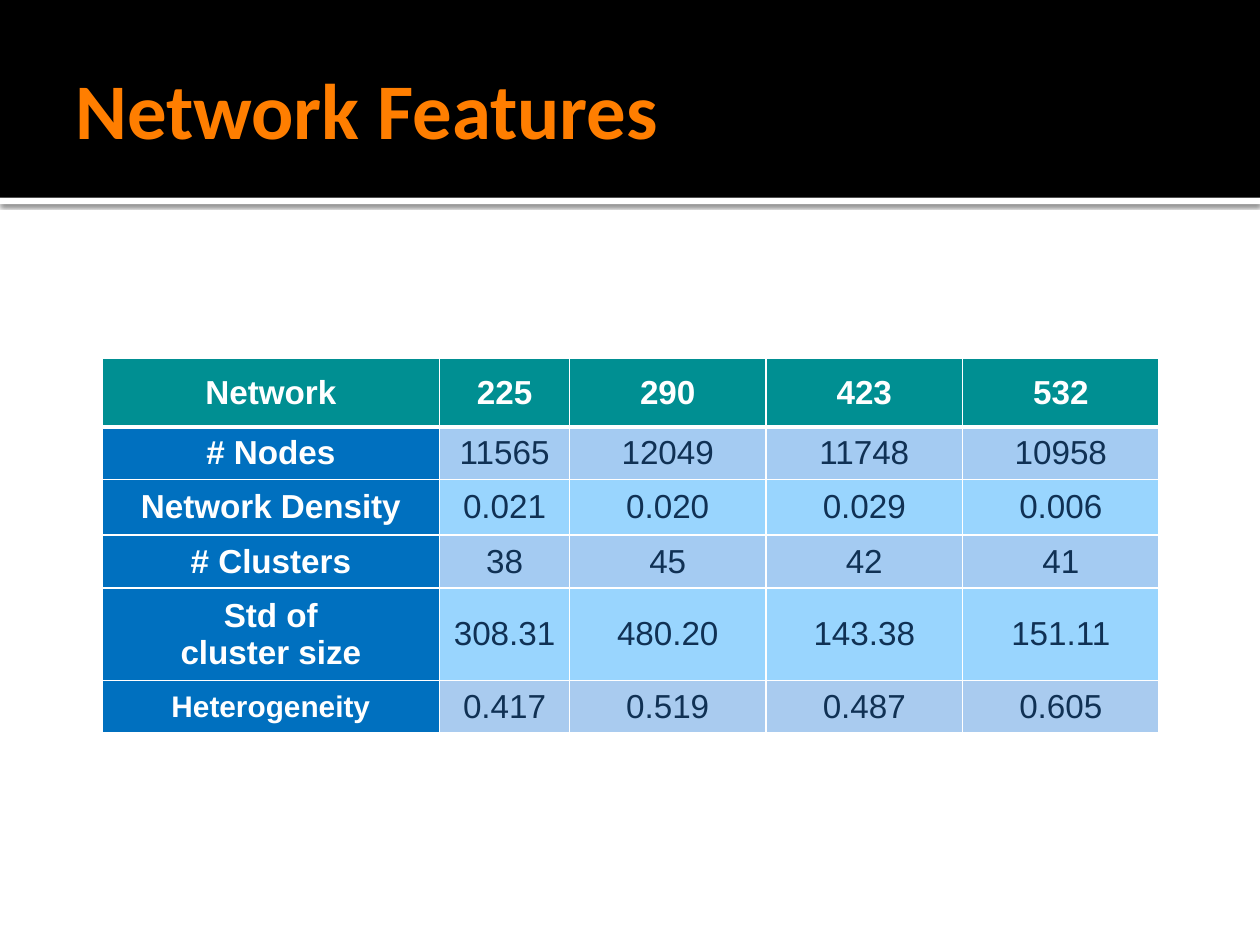
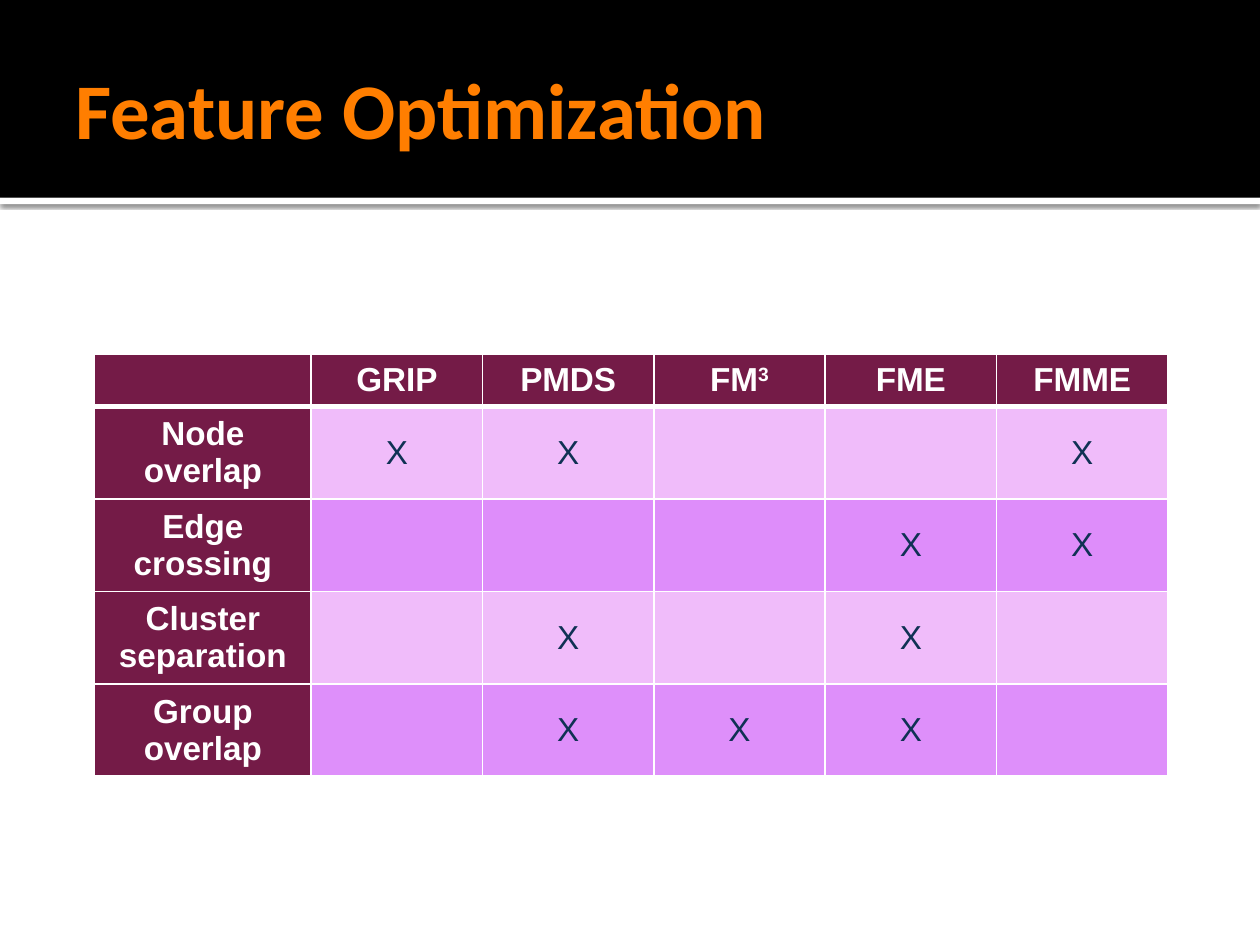
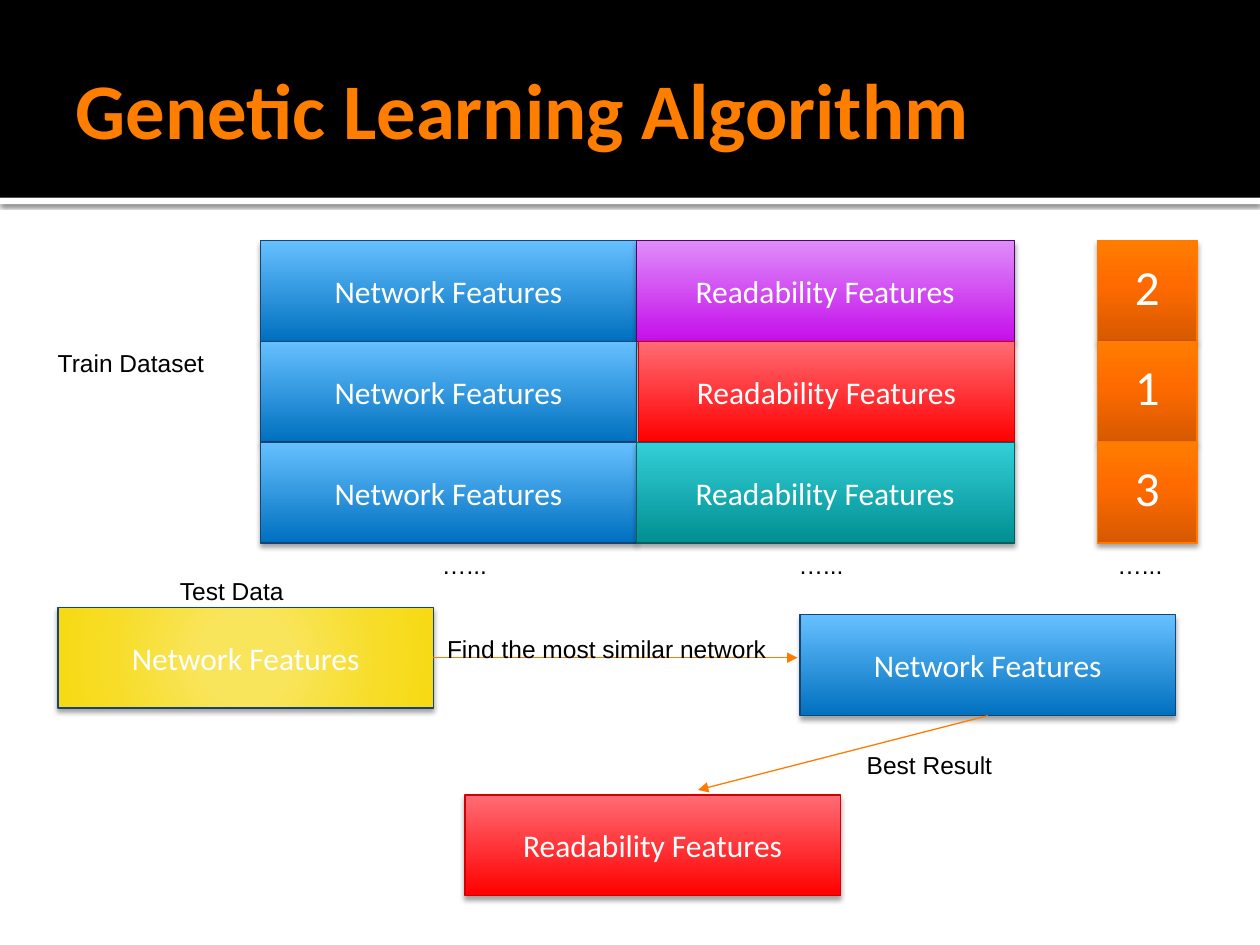
from dataclasses import dataclass, field
from typing import Optional

from lxml import etree
from pptx import Presentation
from pptx.dml.color import RGBColor
from pptx.enum.shapes import MSO_CONNECTOR as Connector, MSO_SHAPE as Preset
from pptx.enum.text import MSO_ANCHOR as Anchor, PP_ALIGN as Align
from pptx.oxml.ns import qn
from pptx.util import Inches, Pt


@dataclass(frozen=True)
class Theme:
    heading_font: str = "Calibri"
    body_font: str = "Arial"
    title_size: float = 45
    score_size: float = 28
    cell_size: float = 19
    box_size: float = 18
    small_cell_size: float = 17
    label_size: float = 14
    white: str = "FFFFFF"
    black: str = "000000"
    title: str = "FF7E00"
    arrow: str = "FF7B00"
    cell_text: str = "103154"
    teal: str = "008F92"
    blue: str = "0070BF"
    maroon: str = "741B47"


@dataclass(frozen=True)
class Shadow:
    opacity: int
    blur: float
    distance: float


@dataclass(frozen=True)
class BoxStyle:
    stops: tuple[tuple[int, str], ...]
    line: str
    radial: bool = False


@dataclass(frozen=True)
class Box:
    text: str
    left: float
    top: float
    width: float
    style: BoxStyle
    size: float = 18
    line_spacing: Optional[float] = None


@dataclass(frozen=True)
class Label:
    text: str
    left: float
    top: float
    width: float


@dataclass(frozen=True)
class TableSpec:
    left: float
    top: float
    columns: list[float]
    heights: list[float]
    rows: list[list[str]]
    header_fill: str
    label_fill: str
    row_fills: list[str]
    sizes: dict[tuple[int, int], float] = field(default_factory=dict)
    superscripts: dict[tuple[int, int], str] = field(default_factory=dict)


THEME = Theme()
BAND_SHADOW = Shadow(60, 2.5, 0.8)
BOX_SHADOW = Shadow(37, 3.1, 2)
BOX_HEIGHT = 0.8

BLUE = BoxStyle(((0, "0070BF"), (100, "66C0FF")), "164575")
PURPLE = BoxStyle(((0, "C50FEA"), (100, "DE8DFA")), "4E0468")
RED = BoxStyle(((0, "FF0000"), (100, "FF6C74")), "D10002")
TEAL = BoxStyle(((0, "008F92"), (100, "33CFD8")), "005F61")
ORANGE = BoxStyle(((0, "D65900"), (55, "FE6A00"), (100, "FF7C00")), "FF7B00")
YELLOW = BoxStyle(((0, "F9E55C"), (23, "F9E55C"), (69, "F7DD28"),
                   (97, "F7DA15"), (100, "F7DA15")), "164575", radial=True)


# Formatting helpers
def color(value: str) -> RGBColor:
    return RGBColor.from_string(value)


def child(parent, tag: str, **attributes):
    element = etree.SubElement(parent, qn(tag))
    for name, value in attributes.items():
        element.set(name, str(value))
    return element


def write(frame, text: str, *, size: float, font: str = THEME.body_font,
          ink: str = THEME.black, bold: bool = False, align=Align.LEFT,
          anchor=Anchor.TOP, line_spacing: Optional[float] = None,
          superscript: str = "") -> None:
    frame.word_wrap = True
    frame.vertical_anchor = anchor
    paragraph = frame.paragraphs[0]
    paragraph.alignment = align
    if line_spacing:
        paragraph.line_spacing = line_spacing
    for index, line in enumerate(text.split("\n")):
        if index:
            paragraph.add_line_break()
        paragraph.add_run().text = line
    if superscript:
        raised = paragraph.add_run()
        raised.text = superscript
        raised._r.get_or_add_rPr().set("baseline", "30000")
    for run in paragraph.runs:
        run.font.size = Pt(size)
        run.font.name = font
        run.font.bold = bold
        run.font.color.rgb = color(ink)


def add_shadow(shape, shadow: Shadow) -> None:
    shape.shadow.inherit = False
    effects = shape._element.spPr.find(qn("a:effectLst"))
    outer = child(effects, "a:outerShdw", blurRad=Pt(shadow.blur),
                  dist=Pt(shadow.distance), dir=90 * 60000, rotWithShape=0)
    shade = child(outer, "a:srgbClr", val=THEME.black)
    child(shade, "a:alpha", val=shadow.opacity * 1000)


def fill_gradient(shape, style: BoxStyle) -> None:
    shape.fill.gradient()
    gradient = shape._element.spPr.find(qn("a:gradFill"))
    for element in list(gradient):
        gradient.remove(element)
    stops = child(gradient, "a:gsLst")
    for position, value in style.stops:
        child(child(stops, "a:gs", pos=position * 1000), "a:srgbClr", val=value)
    if style.radial:
        circle = child(gradient, "a:path", path="circle")
        child(circle, "a:fillToRect", l=50000, t=50000, r=50000, b=50000)
    else:
        child(gradient, "a:lin", ang=270 * 60000, scaled=0)


def set_borders(cell, widths: dict[str, float]) -> None:
    properties = cell._tc.get_or_add_tcPr()
    for index, (side, width) in enumerate(widths.items()):
        line = etree.Element(qn(f"a:ln{side}"), w=str(Pt(width)))
        child(child(line, "a:solidFill"), "a:srgbClr", val=THEME.white)
        properties.insert(index, line)


# Slide parts
def add_rectangle(slide, left: float, top: float, width: float, height: float):
    return slide.shapes.add_shape(Preset.RECTANGLE, Inches(left), Inches(top),
                                  Inches(width), Inches(height))


def add_band(slide, top: float, height: float, fill: str,
             shadow: Optional[Shadow] = None) -> None:
    band = add_rectangle(slide, 0, top, 10, height)
    band.fill.solid()
    band.fill.fore_color.rgb = color(fill)
    band.line.fill.background()
    band.shadow.inherit = False
    if shadow:
        add_shadow(band, shadow)


def add_text_box(slide, left: float, top: float, width: float, height: float,
                 text: str, **text_format) -> None:
    box = slide.shapes.add_textbox(Inches(left), Inches(top),
                                   Inches(width), Inches(height))
    write(box.text_frame, text, **text_format)


def add_titled_slide(presentation, title: str):
    slide = presentation.slides.add_slide(presentation.slide_layouts[6])
    add_band(slide, 1.57, 0.05, THEME.white, BAND_SHADOW)
    add_band(slide, 0, 1.57, THEME.black)
    add_text_box(slide, 0.5, 0.17, 9, 1.37, title, size=THEME.title_size,
                 font=THEME.heading_font, ink=THEME.title, bold=True,
                 anchor=Anchor.MIDDLE)
    return slide


def add_box(slide, box: Box):
    shape = add_rectangle(slide, box.left, box.top, box.width, BOX_HEIGHT)
    fill_gradient(shape, box.style)
    shape.line.color.rgb = color(box.style.line)
    shape.line.width = Pt(0.75)
    add_shadow(shape, BOX_SHADOW)
    write(shape.text_frame, box.text, size=box.size, font=THEME.heading_font,
          ink=THEME.white, align=Align.CENTER, anchor=Anchor.MIDDLE,
          line_spacing=box.line_spacing)
    return shape


def add_label(slide, label: Label) -> None:
    add_text_box(slide, label.left, label.top, label.width, 0.34, label.text,
                 size=THEME.label_size)


def add_arrow(slide, source, side: int, end: tuple[float, float]) -> None:
    end_x, end_y = (Inches(value) for value in end)
    arrow = slide.shapes.add_connector(Connector.STRAIGHT, source.left,
                                       source.top, end_x, end_y)
    arrow.begin_connect(source, side)
    arrow.line.color.rgb = color(THEME.arrow)
    arrow.line.width = Pt(0.75)
    child(arrow.line._get_or_add_ln(), "a:tailEnd", type="triangle")
    child(arrow._element.spPr, "a:effectLst")


def add_feature_table(slide, spec: TableSpec) -> None:
    table = slide.shapes.add_table(
        len(spec.rows), len(spec.columns), Inches(spec.left), Inches(spec.top),
        Inches(sum(spec.columns)), Inches(sum(spec.heights))).table
    for column, width in zip(table.columns, spec.columns):
        column.width = Inches(width)
    for row, height in zip(table.rows, spec.heights):
        row.height = Inches(height)
    for r, values in enumerate(spec.rows):
        for c, value in enumerate(values):
            cell = table.cell(r, c)
            is_heading = r == 0 or c == 0
            if r == 0:
                fill = spec.header_fill
            else:
                fill = spec.label_fill if c == 0 else spec.row_fills[r - 1]
            cell.fill.solid()
            cell.fill.fore_color.rgb = color(fill)
            cell.vertical_anchor = Anchor.MIDDLE
            set_borders(cell, {"L": 1, "R": 1, "T": 3 if r == 1 else 1,
                               "B": 3 if r == 0 else 1})
            if value:
                write(cell.text_frame, value,
                      size=spec.sizes.get((r, c), THEME.cell_size),
                      ink=THEME.white if is_heading else THEME.cell_text,
                      bold=is_heading, align=Align.CENTER, anchor=Anchor.MIDDLE,
                      superscript=spec.superscripts.get((r, c), ""))


# Slide contents
NETWORK_TABLE = TableSpec(
    left=0.81, top=2.84,
    columns=[2.68, 1.03] + [1.56] * 3,
    heights=[0.55, 0.37, 0.44, 0.42, 0.68, 0.39],
    rows=[
        ["Network", "225", "290", "423", "532"],
        ["# Nodes", "11565", "12049", "11748", "10958"],
        ["Network Density", "0.021", "0.020", "0.029", "0.006"],
        ["# Clusters", "38", "45", "42", "41"],
        ["Std of\ncluster size", "308.31", "480.20", "143.38", "151.11"],
        ["Heterogeneity", "0.417", "0.519", "0.487", "0.605"],
    ],
    header_fill=THEME.teal, label_fill=THEME.blue,
    row_fills=["A4CBF2", "99D5FE"] * 2 + ["A9CBEF"],
    sizes={(5, 0): THEME.small_cell_size},
)

OPTIMIZATION_TABLE = TableSpec(
    left=0.75, top=2.81,
    columns=[1.72] + [1.36] * 5,
    heights=[0.41] + [0.68] * 4,
    rows=[
        ["", "GRIP", "PMDS", "FM", "FME", "FMME"],
        ["Node overlap", "X", "X", "", "", "X"],
        ["Edge crossing", "", "", "", "X", "X"],
        ["Cluster separation", "", "X", "", "X", ""],
        ["Group overlap", "", "X", "X", "X", ""],
    ],
    header_fill=THEME.maroon, label_fill=THEME.maroon,
    row_fills=["F0BCFA", "DE8DFA", "F0BCFA", "DE8FFA"],
    superscripts={(0, 3): "3"},
)

NETWORK = "Network Features"
READABILITY = "Readability Features"
TRAINING_ROWS = [("2", PURPLE, 5.05), ("1", RED, 5.07), ("3", TEAL, 5.05)]
LABELS = [
    Label("Train Dataset", 0.36, 2.71, 1.5),
    Label("Test Data", 1.33, 4.52, 1.1),
    *(Label("…...", left, 4.32, 0.6) for left in (3.41, 6.24, 8.77)),
    Label("Find the most similar network", 3.45, 4.98, 2.8),
    Label("Best Result", 6.78, 5.9, 1.25),
]


def draw_algorithm(slide) -> None:
    # Training rows: network, readability and score
    for index, (score, style, left) in enumerate(TRAINING_ROWS):
        top = 1.91 + index * BOX_HEIGHT
        add_box(slide, Box(NETWORK, 2.07, top, 2.98, BLUE))
        add_box(slide, Box(READABILITY, left, top, 8.05 - left, style))
        add_box(slide, Box(score, 8.71, top, 0.79, ORANGE,
                           THEME.score_size, 0.8))

    # Test data, its nearest network and the result
    test_box = add_box(slide, Box(NETWORK, 0.46, 4.82, 2.98, YELLOW))
    similar_box = add_box(slide, Box(NETWORK, 6.35, 4.88, 2.98, BLUE))
    add_box(slide, Box(READABILITY, 3.69, 6.31, 2.98, RED))
    add_arrow(slide, test_box, 3, (6.33, 5.22))
    add_arrow(slide, similar_box, 2, (5.54, 6.27))
    for label in LABELS:
        add_label(slide, label)


def main() -> None:
    presentation = Presentation()
    presentation.slide_width = Inches(10)
    presentation.slide_height = Inches(7.5)
    add_feature_table(add_titled_slide(presentation, "Network Features"),
                      NETWORK_TABLE)
    add_feature_table(add_titled_slide(presentation, "Feature Optimization"),
                      OPTIMIZATION_TABLE)
    draw_algorithm(add_titled_slide(presentation, "Genetic Learning Algorithm"))
    presentation.save("out.pptx")


if __name__ == "__main__":
    main()
